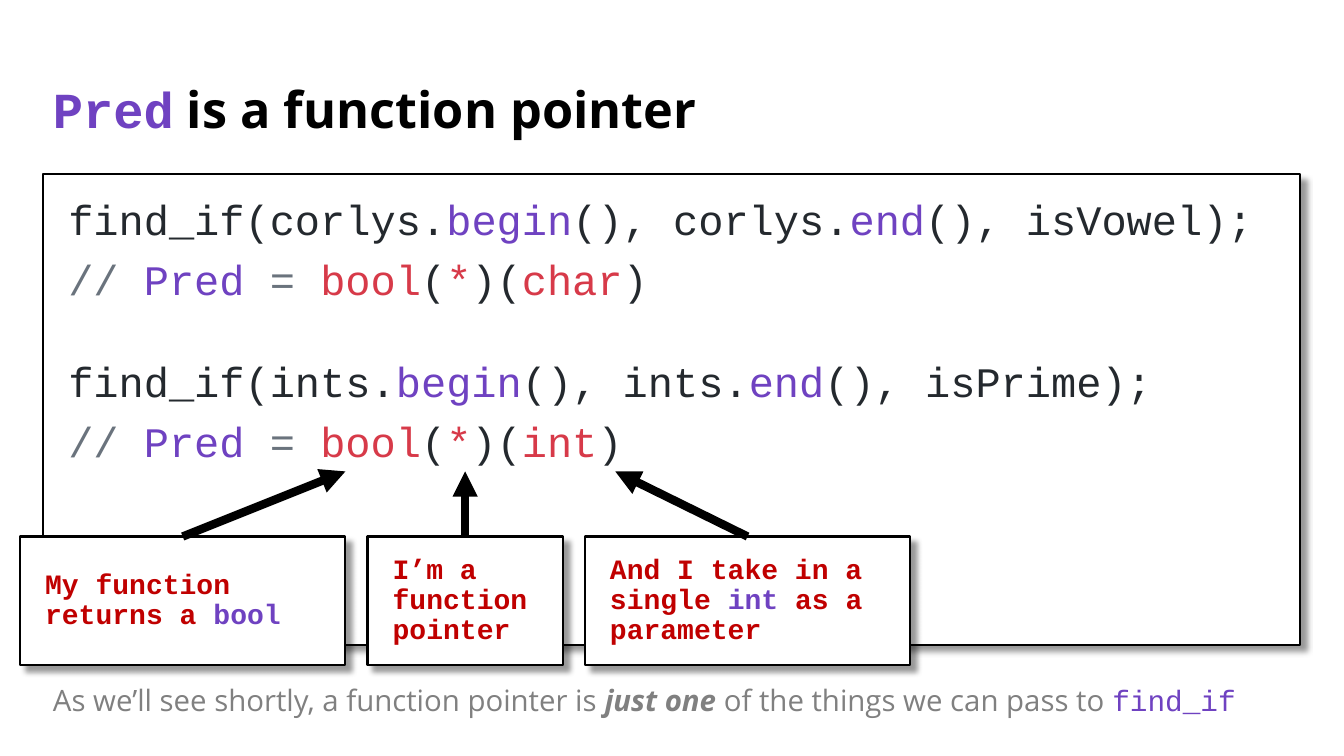
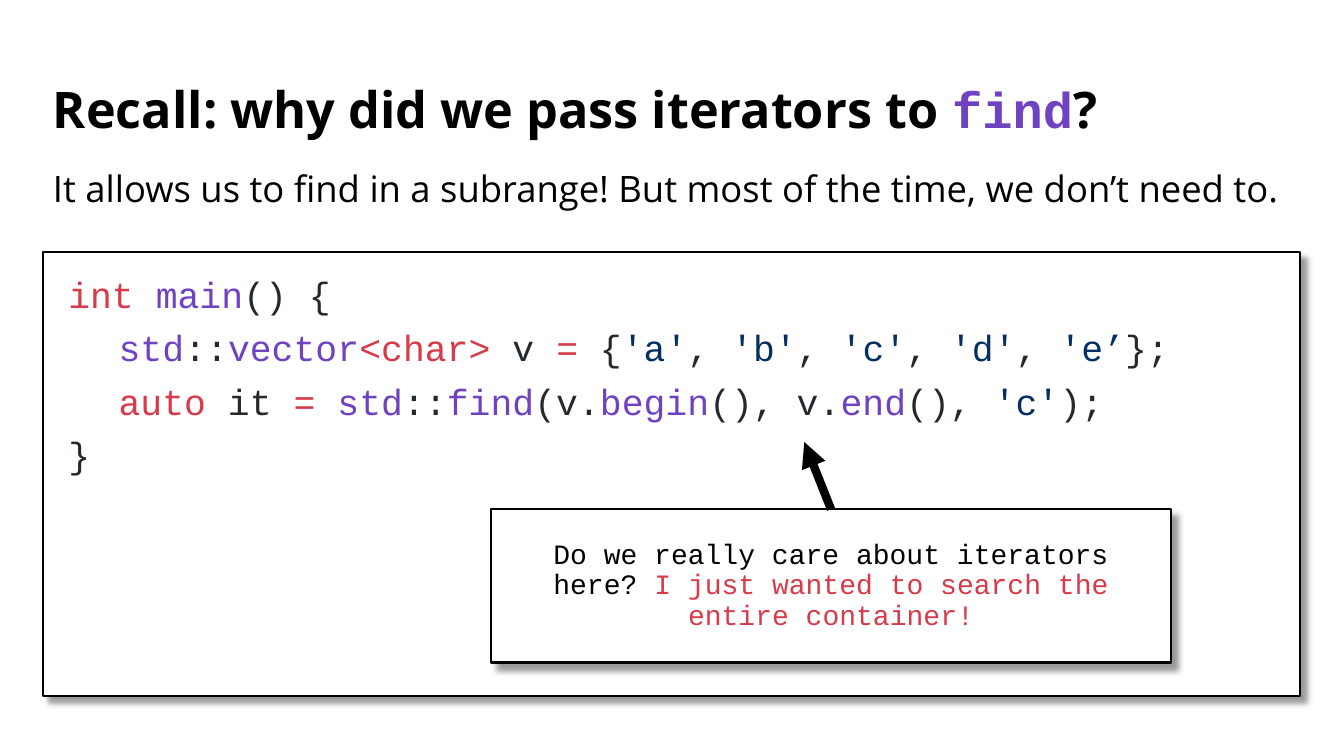
from dataclasses import dataclass

from lxml import etree
from pptx import Presentation
from pptx.dml.color import RGBColor
from pptx.enum.shapes import MSO_CONNECTOR, MSO_SHAPE
from pptx.enum.text import MSO_ANCHOR, PP_ALIGN
from pptx.oxml.ns import qn
from pptx.util import Pt

PX = 9525
TOP_SIDE = 0
RECTANGLE = MSO_SHAPE.RECTANGLE
STRAIGHT = MSO_CONNECTOR.STRAIGHT
TOP, MIDDLE = MSO_ANCHOR.TOP, MSO_ANCHOR.MIDDLE
LEFT, CENTER = PP_ALIGN.LEFT, PP_ALIGN.CENTER


@dataclass(frozen=True)
class Theme:
    sans: str = "Open Sans"
    mono: str = "Courier New"
    black: str = "000000"
    white: str = "FFFFFF"
    gray: str = "808080"
    code: str = "24292E"
    comment: str = "6A737D"
    name: str = "6F42C1"
    keyword: str = "D73A49"
    literal: str = "032F62"
    remark: str = "C00000"
    title_size: int = 36
    big_code_size: int = 30
    body_size: int = 26
    note_size: int = 21
    callout_size: int = 20


theme = Theme()
NAME = {"color": theme.name}
KEYWORD = {"color": theme.keyword}
LITERAL = {"color": theme.literal}
COMMENT = {"color": theme.comment}
MONO_NAME = {"color": theme.name, "font": theme.mono}


def add_text(slide, box, lines, size, font=theme.mono, color=theme.code, bold=False,
             panel=False, anchor=TOP, align=LEFT, line_spacing=0.9):
    """Place lines of runs in a text box, or in a bordered panel with a shadow.

    A line is (space before in points, indent in px, runs); a run is plain text
    or (text, overrides of color, font, bold and italic).
    """
    place = [value * PX for value in box]
    if panel:
        shape = slide.shapes.add_shape(RECTANGLE, *place)
        shape.fill.solid()
        shape.fill.fore_color.rgb = RGBColor.from_string(theme.white)
        shape.line.color.rgb = RGBColor.from_string(theme.black)
        shape.line.width = Pt(1.5)
        shape.shadow.inherit = False
        effects = shape._element.spPr.find(qn("a:effectLst"))
        shadow = etree.SubElement(effects, qn("a:outerShdw"), blurRad=str(Pt(4)),
                                  dist=str(Pt(6)), dir="2700000", algn="tl", rotWithShape="0")
        shade = etree.SubElement(shadow, qn("a:srgbClr"), val=theme.black)
        etree.SubElement(shade, qn("a:alpha"), val="40000")
    else:
        shape = slide.shapes.add_textbox(*place)
    frame = shape.text_frame
    frame.word_wrap = True
    frame.vertical_anchor = anchor
    if panel:
        frame.margin_left = frame.margin_right = frame.margin_top = frame.margin_bottom = 24 * PX
    for number, (space_before, indent, runs) in enumerate(lines):
        paragraph = frame.add_paragraph() if number else frame.paragraphs[0]
        paragraph.alignment = align
        paragraph.line_spacing = line_spacing
        paragraph.space_before = Pt(space_before)
        paragraph._p.get_or_add_pPr().set("marL", str(indent * PX))
        for item in runs:
            text, style = (item, {}) if isinstance(item, str) else item
            run = paragraph.add_run()
            run.text = text
            run.font.size = Pt(size)
            run.font.name = style.get("font", font)
            run.font.bold = style.get("bold", bold)
            run.font.italic = style.get("italic", False)
            run.font.color.rgb = RGBColor.from_string(style.get("color", color))
    return shape


def add_arrow(slide, callout, tip):
    """Draw an arrow from the top middle of a callout to the tip."""
    end_x, end_y = (value * PX for value in tip)
    start_x = callout.left + callout.width // 2
    arrow = slide.shapes.add_connector(STRAIGHT, start_x, callout.top, end_x, end_y)
    arrow.begin_connect(callout, TOP_SIDE)
    arrow.line.color.rgb = RGBColor.from_string(theme.black)
    arrow.line.width = Pt(6)
    etree.SubElement(arrow.line._get_or_add_ln(), qn("a:tailEnd"), type="triangle")
    etree.SubElement(arrow._element.spPr, qn("a:effectLst"))


deck = Presentation()
deck.slide_width, deck.slide_height = 1280 * PX, 720 * PX
blank = deck.slide_layouts[6]

MARGIN, CONTENT_WIDTH = 41, 1197
titles = [
    [("Pred", MONO_NAME), " is a function pointer"],
    ["Recall: why did we pass iterators to ", ("find", MONO_NAME), "?"],
]
slides = []
for title in titles:
    slide = deck.slides.add_slide(blank)
    add_text(slide, (MARGIN, 66, CONTENT_WIDTH, 81), [(0, 0, title)], theme.title_size,
             font=theme.sans, color=theme.black, bold=True, anchor=MIDDLE)
    slides.append(slide)
pointer_slide, recall_slide = slides

# Function pointer slide
calls = [("corlys", "isVowel", "char"), ("ints", "isPrime", "int")]
call_lines = []
for container, predicate, argument in calls:
    call_lines += [
        (41 if call_lines else 0, 0,
         [f"find_if({container}.", ("begin", NAME), f"(), {container}.", ("end", NAME),
          f"(), {predicate});"]),
        (10, 0,
         [("// ", COMMENT), ("Pred", NAME), (" = ", COMMENT), ("bool", KEYWORD), "(",
          ("*", KEYWORD), ")(", (argument, KEYWORD), ")"]),
    ]
add_text(pointer_slide, (MARGIN, 166, CONTENT_WIDTH, 448), call_lines,
         theme.big_code_size, panel=True)

note = ["As we’ll see shortly, a function pointer is ", ("just one", {"bold": True, "italic": True}),
        " of the things we can pass to ", ("find_if", MONO_NAME)]
add_text(pointer_slide, (MARGIN, 649, CONTENT_WIDTH, 45), [(0, 0, note)], theme.note_size,
         font=theme.sans, color=theme.gray)

CALLOUT_GAP = 21
callouts = [
    (310, ["My function returns a ", ("bool", NAME)], (329, 449)),
    (186, ["I’m a function pointer"], (443, 449)),
    (310, ["And I take in a single ", ("int", NAME), " as a parameter"], (586, 449)),
]
callout_left = 19
for width, remark, tip in callouts:
    callout = add_text(pointer_slide, (callout_left, 511, width, 122), [(0, 0, remark)],
                       theme.callout_size, color=theme.remark, bold=True, panel=True,
                       anchor=MIDDLE)
    add_arrow(pointer_slide, callout, tip)
    callout_left += width + CALLOUT_GAP

# Recall slide
add_text(recall_slide, (MARGIN, 162, CONTENT_WIDTH, 45),
         [(0, 0, ["It allows us to find in a subrange! But most of the time, we don’t need to."])],
         theme.body_size, font=theme.sans, color=theme.black, line_spacing=0.8)

letters = [("'a'", LITERAL)]
for letter in ("'b'", "'c'", "'d'", "'e’"):
    letters += [", ", (letter, LITERAL)]
CODE_INDENT = 48
main_lines = [
    (0, 0, [("int ", KEYWORD), ("main", NAME), "() {"]),
    (10, CODE_INDENT,
     [("std", NAME), "::", ("vector", NAME), ("<char>", KEYWORD), " v ", ("=", KEYWORD), " {",
      *letters, "};"]),
    (10, CODE_INDENT,
     [("auto", KEYWORD), " it ", ("= ", KEYWORD), ("std", NAME), "::", ("find", NAME), "(v.",
      ("begin", NAME), "(), v.", ("end", NAME), "(), ", ("'c'", LITERAL), ");"]),
    (10, 0, ["}"]),
]
add_text(recall_slide, (MARGIN, 240, CONTENT_WIDTH, 423), main_lines, theme.body_size, panel=True)

question = ["Do we really care about iterators here? ",
            ("I just wanted to search the entire container!", KEYWORD)]
question_callout = add_text(recall_slide, (468, 485, 647, 146), [(0, 0, question)],
                            theme.callout_size, color=theme.black, panel=True,
                            anchor=MIDDLE, align=CENTER)
add_arrow(recall_slide, question_callout, (766, 421))

deck.save("out.pptx")
